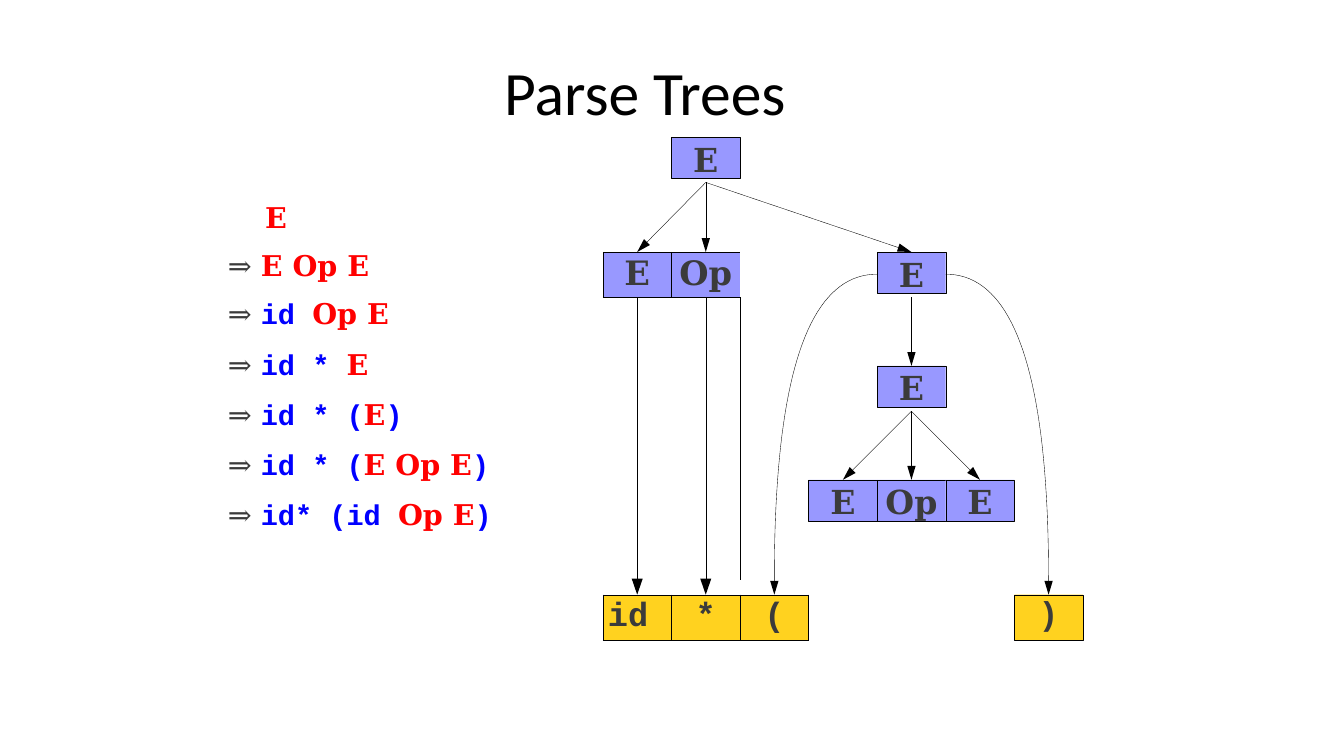
from dataclasses import dataclass

from lxml import etree
from pptx import Presentation
from pptx.dml.color import RGBColor
from pptx.enum.shapes import MSO_CONNECTOR, MSO_SHAPE
from pptx.enum.text import MSO_ANCHOR, MSO_AUTO_SIZE, PP_ALIGN
from pptx.oxml.ns import qn
from pptx.util import Inches, Pt

RECTANGLE = MSO_SHAPE.RECTANGLE
DOWN_TRIANGLE = MSO_SHAPE.FLOWCHART_MERGE
STRAIGHT = MSO_CONNECTOR.STRAIGHT
TOP, MIDDLE = MSO_ANCHOR.TOP, MSO_ANCHOR.MIDDLE
LEFT, CENTER = PP_ALIGN.LEFT, PP_ALIGN.CENTER
NO_AUTOFIT = MSO_AUTO_SIZE.NONE


@dataclass(frozen=True)
class Theme:
    black: RGBColor = RGBColor(0x00, 0x00, 0x00)
    gray: RGBColor = RGBColor(0x3B, 0x3B, 0x3B)
    nonterminal: RGBColor = RGBColor(0xFF, 0x00, 0x00)
    terminal: RGBColor = RGBColor(0x00, 0x00, 0xFF)
    node: RGBColor = RGBColor(0x98, 0x98, 0xFF)
    token: RGBColor = RGBColor(0xFF, 0xD2, 0x1F)
    sans: str = "Calibri"
    serif: str = "DejaVu Serif"
    mono: str = "Courier New"
    title_size: float = 44
    step_size: float = 20.4
    node_size: float = 23.6
    cell_size: float = 24
    line_width: float = 0.25


THEME = Theme()

# Tree grid, in inches
GRID_LEFT, PITCH = 5.98, 0.68
LEVELS = [1.36, 2.5, 3.63, 4.76, 5.9]
NODE_HEIGHT, TOKEN_HEIGHT = 0.41, 0.45
ARROW_START = 0.45
HEAD_WIDTH, HEAD_LENGTH = 0.11, 0.16

# Derivation: space before, then runs of nonterminals (N) and terminals (T)
STEPS = [
    (10.9, [("N", "E")]),
    (10.1, [("N", "E Op E")]),
    (10.1, [("T", "id "), ("N", "Op E")]),
    (11.3, [("T", "id * "), ("N", "E")]),
    (11.3, [("T", "id * ("), ("N", "E"), ("T", ")")]),
    (11.3, [("T", "id * ("), ("N", "E Op E"), ("T", ")")]),
    (11.4, [("T", "id* (id "), ("N", "Op E"), ("T", ")")]),
]


def column_left(column):
    return GRID_LEFT + PITCH * column


def column_middle(column):
    return column_left(column) + PITCH / 2


def place(shape, left, top, width, height):
    shape.left, shape.top = Inches(left), Inches(top)
    shape.width, shape.height = Inches(width), Inches(height)


def set_font(font, name, size, color, bold=True):
    font.name, font.size, font.bold = name, Pt(size), bold
    font.color.rgb = color


def set_frame(frame, top_inset, anchor=TOP):
    frame.margin_left = frame.margin_right = frame.margin_bottom = 0
    frame.margin_top = Inches(top_inset)
    frame.vertical_anchor = anchor
    frame.word_wrap = True
    frame.auto_size = NO_AUTOFIT


def write_label(paragraph, text, font_name, size, line_spacing=None):
    paragraph.text = text
    paragraph.alignment = CENTER
    if line_spacing:
        paragraph.line_spacing = Pt(line_spacing)
    else:
        paragraph.space_before = Pt(1.1)
    set_font(paragraph.font, font_name, size, THEME.gray)


def set_line(line):
    line.color.rgb = THEME.black
    line.width = Pt(THEME.line_width)


def add_arrowhead(shape):
    outline = shape.element.spPr.find(qn("a:ln"))
    etree.SubElement(outline, qn("a:tailEnd"), type="triangle", w="med", len="lg")


def add_title(slide):
    title = slide.shapes.title
    place(title, 5, 0.52, 3.33, 0.75)
    set_frame(title.text_frame, 0.01, MIDDLE)
    paragraph = title.text_frame.paragraphs[0]
    paragraph.text = "Parse Trees"
    paragraph.alignment = LEFT
    set_font(paragraph.font, THEME.sans, THEME.title_size, THEME.black, False)


def add_derivation(slide):
    body = slide.placeholders[1]
    place(body, 2.25, 1.83, 3.09, 3.46)
    frame = body.text_frame
    set_frame(frame, 0.15)
    styles = {"N": (THEME.serif, THEME.nonterminal), "T": (THEME.mono, THEME.terminal)}
    for index, (space, parts) in enumerate(STEPS):
        paragraph = frame.add_paragraph() if index else frame.paragraphs[0]
        paragraph.space_before = Pt(space)
        properties = paragraph._p.get_or_add_pPr()
        properties.set("marL", str(Inches(0.01 if index else 0.38)))
        properties.set("indent", "0")
        etree.SubElement(properties, qn("a:buNone"))
        if index:
            arrow = paragraph.add_run()
            arrow.text = "⇒ "
            set_font(arrow.font, THEME.serif, THEME.step_size, THEME.gray, False)
        for kind, text in parts:
            run = paragraph.add_run()
            run.text = text
            name, color = styles[kind]
            set_font(run.font, name, THEME.step_size, color)


def add_box(slide, column, level, height, fill):
    box = slide.shapes.add_shape(RECTANGLE, Inches(column_left(column)),
                                 Inches(LEVELS[level]), Inches(PITCH), Inches(height))
    box.shadow.inherit = False
    box.fill.solid()
    box.fill.fore_color.rgb = fill
    set_line(box.line)
    set_frame(box.text_frame, 0.02)
    return box


def add_node(slide, column, level, text):
    node = add_box(slide, column, level, NODE_HEIGHT, THEME.node)
    write_label(node.text_frame.paragraphs[0], text, THEME.serif, THEME.node_size)
    return node


def add_arrow(slide, column, level, end_column, target=None):
    """Arrow from below a node to the top of a node or cell one level down."""
    arrow = slide.shapes.add_connector(
        STRAIGHT, Inches(column_middle(column)), Inches(LEVELS[level] + ARROW_START),
        Inches(column_middle(end_column)), Inches(LEVELS[level + 1]))
    if target is not None:
        arrow.end_connect(target, 0)
    set_line(arrow.line)
    add_arrowhead(arrow)
    etree.SubElement(arrow.element.spPr, qn("a:effectLst"))


def add_curve(slide, start_x, end_x):
    """Quadratic curve that leaves sideways and arrives from above."""
    start_y, end_y, steps = 2.72, LEVELS[4] - HEAD_LENGTH, 40
    points = []
    for step in range(1, steps + 1):
        t = step / steps
        points.append((Inches(start_x + (end_x - start_x) * (2 * t - t * t)),
                       Inches(start_y + (end_y - start_y) * t * t)))
    points.append((Inches(end_x), Inches(LEVELS[4])))
    builder = slide.shapes.build_freeform(Inches(start_x), Inches(start_y))
    builder.add_line_segments(points, close=False)
    curve = builder.convert_to_shape()
    curve.shadow.inherit = False
    curve.fill.background()
    set_line(curve.line)
    add_arrowhead(curve)


def add_table_head(slide, column):
    head = slide.shapes.add_shape(
        DOWN_TRIANGLE, Inches(column_middle(column) - HEAD_WIDTH / 2),
        Inches(LEVELS[4] - HEAD_LENGTH), Inches(HEAD_WIDTH), Inches(HEAD_LENGTH))
    head.shadow.inherit = False
    head.fill.solid()
    head.fill.fore_color.rgb = THEME.black
    head.line.fill.background()


def add_grid(slide, level, widths, heights):
    table = slide.shapes.add_table(
        len(heights), len(widths), Inches(GRID_LEFT), Inches(LEVELS[level]),
        Inches(sum(widths)), Inches(sum(heights))).table
    table.first_row = table.horz_banding = False
    for column, width in zip(table.columns, widths):
        column.width = Inches(width)
    for row, height in zip(table.rows, heights):
        row.height = Inches(height)
    return table


def style_cell(cell, sides, fill=None, top_inset=0):
    cell.margin_left = cell.margin_right = cell.margin_bottom = 0
    cell.margin_top = Inches(top_inset)
    properties = cell._tc.get_or_add_tcPr()
    for side in "LRTB":
        border = etree.SubElement(properties, qn("a:ln" + side), w=str(Pt(THEME.line_width)))
        if side in sides:
            solid = etree.SubElement(border, qn("a:solidFill"))
            etree.SubElement(solid, qn("a:srgbClr"), val=str(THEME.black))
        else:
            etree.SubElement(border, qn("a:noFill"))
    if fill is None:
        cell.fill.background()
    else:
        cell.fill.solid()
        cell.fill.fore_color.rgb = fill


def add_branch_table(slide):
    """E and Op cells; the borders below them are the arrow shafts."""
    table = add_grid(slide, 1, [PITCH / 2] * 4, [0.45, 2.8])
    for column, sides in enumerate(["LTB", "RTB", "LTB", "RTB"]):
        style_cell(table.cell(0, column), sides, THEME.node, 0.02)
    for column, sides in enumerate(["TR", "TLR", "TR", "TLR"]):
        style_cell(table.cell(1, column), sides)
    for row, column in [(0, 0), (0, 2), (1, 1)]:
        table.cell(row, column).merge(table.cell(row, column + 1))
    for column, text in [(0, "E"), (2, "Op")]:
        write_label(table.cell(0, column).text_frame.paragraphs[0], text,
                    THEME.serif, THEME.cell_size)
    for column in (0, 1):
        add_table_head(slide, column)


def add_tokens(slide):
    table = add_grid(slide, 4, [PITCH] * 3, [TOKEN_HEIGHT])
    for column, text in enumerate(["id", "*", "("]):
        cell = table.cell(0, column)
        style_cell(cell, "LRTB", THEME.token)
        paragraph = cell.text_frame.paragraphs[0]
        write_label(paragraph, text, THEME.mono, THEME.cell_size, 30.2)
        if column == 0:
            paragraph.alignment = LEFT
            cell.margin_left = Inches(0.05)
    closing = add_box(slide, 6, 4, TOKEN_HEIGHT, THEME.token)
    write_label(closing.text_frame.paragraphs[0], ")", THEME.mono, THEME.node_size, 25.3)


def main():
    presentation = Presentation()
    presentation.slide_width, presentation.slide_height = Inches(13.33), Inches(7.5)
    slide = presentation.slides.add_slide(presentation.slide_layouts[1])
    add_title(slide)
    add_derivation(slide)

    # Nodes and tokens
    add_node(slide, 1, 0, "E")
    group = add_node(slide, 4, 1, "E")
    inner = add_node(slide, 4, 2, "E")
    leaves = [add_node(slide, 3 + i, 3, text) for i, text in enumerate(["E", "Op", "E"])]
    add_branch_table(slide)
    add_tokens(slide)

    # Edges
    for end_column, target in [(0, None), (1, None), (4, group)]:
        add_arrow(slide, 1, 0, end_column, target)
    add_arrow(slide, 4, 1, 4, inner)
    for index, leaf in enumerate(leaves):
        add_arrow(slide, 4, 2, 3 + index, leaf)
    add_curve(slide, column_left(4), column_middle(2))
    add_curve(slide, column_left(5), column_middle(6))
    presentation.save("out.pptx")


if __name__ == "__main__":
    main()
